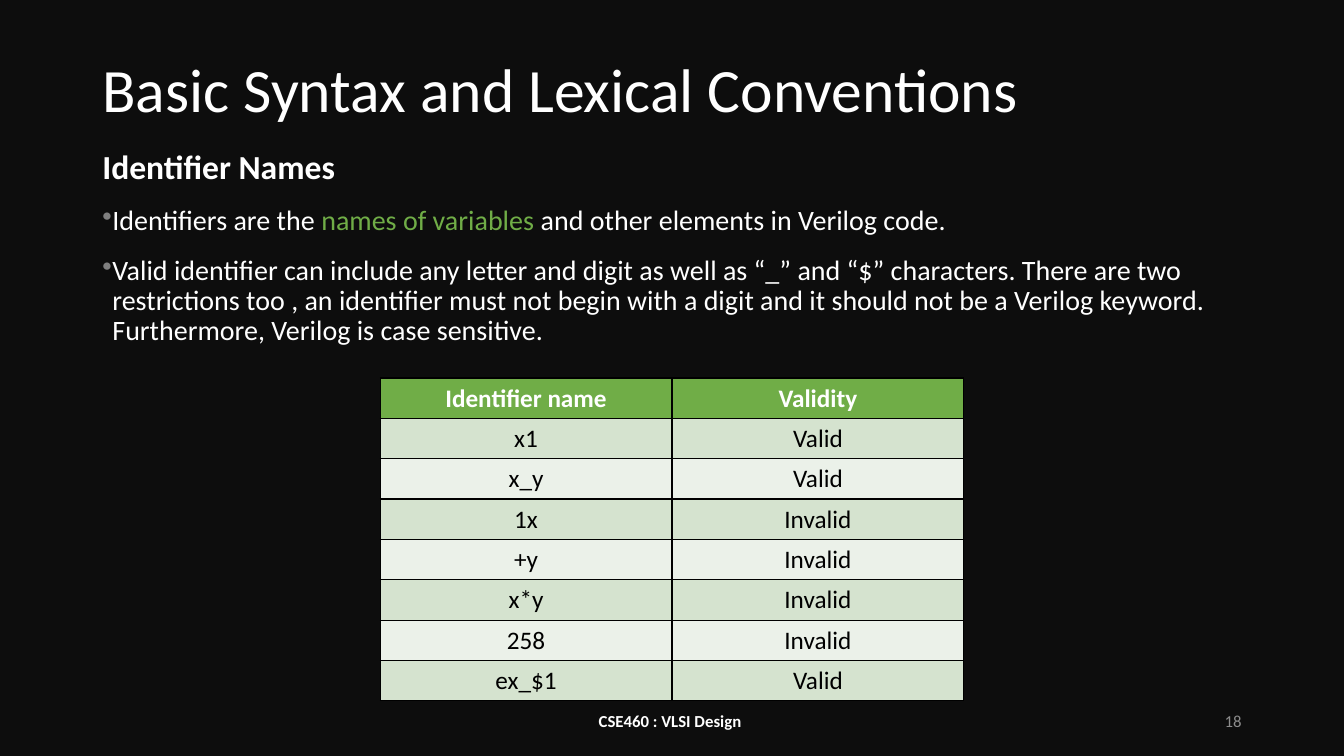
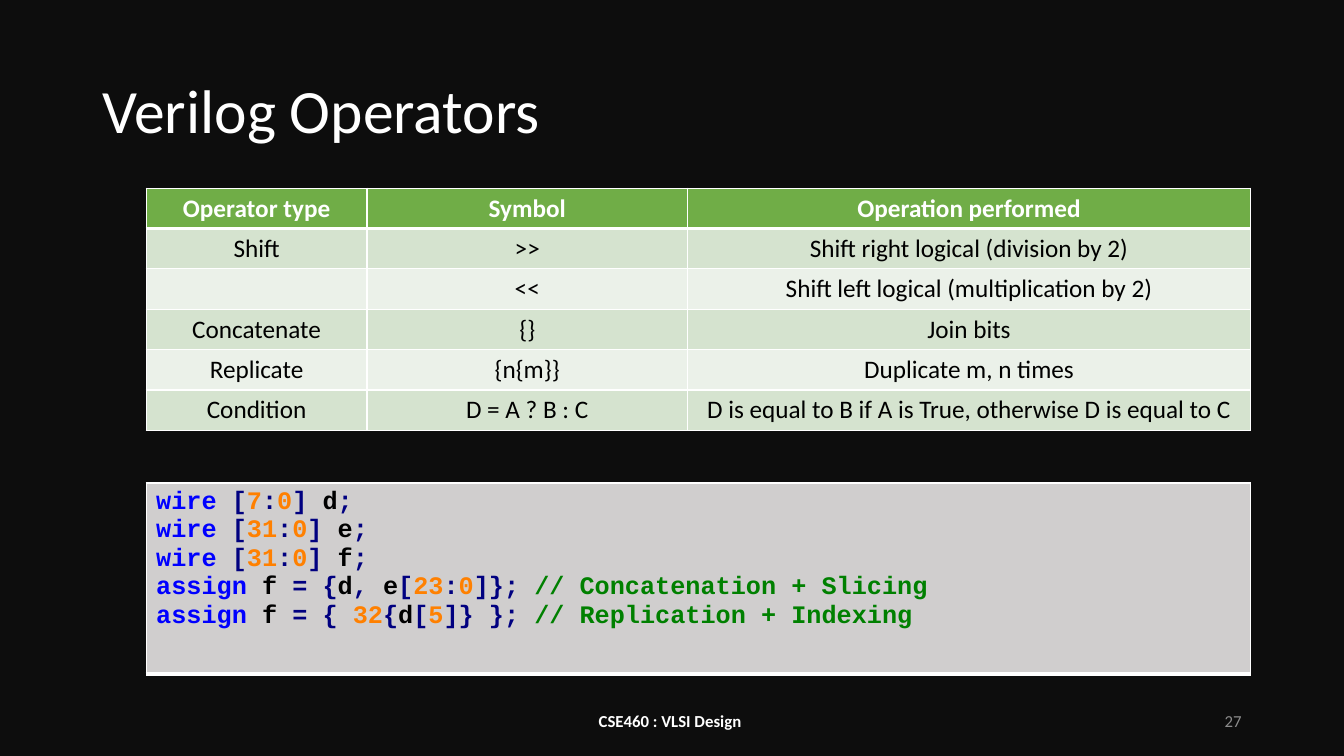
from itertools import groupby

from lxml import etree
from pptx import Presentation
from pptx.dml.color import RGBColor
from pptx.enum.text import MSO_ANCHOR, MSO_AUTO_SIZE, PP_ALIGN
from pptx.oxml.ns import qn
from pptx.util import Inches, Pt

LEFT, CENTER, RIGHT = PP_ALIGN.LEFT, PP_ALIGN.CENTER, PP_ALIGN.RIGHT
TOP, MIDDLE = MSO_ANCHOR.TOP, MSO_ANCHOR.MIDDLE
NO_AUTOFIT = MSO_AUTO_SIZE.NONE


class Theme:
    background = "0D0D0D"
    light = "FFFFFF"
    dark = "000000"
    accent = "70AD47"
    bands = ("D5E3CF", "EBF1E9")
    bullet = "7F7F7F"
    number = "8C8C8C"
    code_fill = "D0CECE"
    code_keyword = "0000FF"
    code_symbol = "000080"
    code_digit = "FF8000"
    code_comment = "008000"
    font = "Calibri"
    code_font = "Courier New"
    title_size, heading_size, body_size = 44, 24, 20
    table_size, footer_size = 18, 12
    thin, thick = 1, 3


deck = Presentation()
deck.slide_width, deck.slide_height = Inches(13.333), Inches(7.5)
COLUMN, ROW = deck.slide_width / 32, deck.slide_height / 18
MARGIN, CONTENT = 2.2, 27.6
TABLE_LEFT, TABLE_ROW = 3.48, 0.96
FOOTER_TOP, FOOTER_HEIGHT = 16.68, 0.96

master_fill = deck.slide_master.background.fill
master_fill.solid()
master_fill.fore_color.rgb = RGBColor.from_string(Theme.background)


def write(para, spans, size, font=Theme.font, bold=False, **para_format):
    for name, value in para_format.items():
        setattr(para, name, value)
    for words, color in spans:
        span = para.add_run()
        span.text = words
        for name, value in {"name": font, "size": Pt(size), "bold": bold}.items():
            setattr(span.font, name, value)
        span.font.color.rgb = RGBColor.from_string(color)


def add_grid(page, left, top, widths, heights, fills, line_color, rules):
    frame = page.shapes.add_table(
        len(heights), len(widths), int(left * COLUMN), int(top * ROW),
        int(sum(widths) * COLUMN), int(sum(heights) * ROW))
    table = frame.table
    table.horz_banding = False
    table.first_row = len(heights) > 1
    for column, width in zip(table.columns, widths):
        column.width = int(width * COLUMN)
    for index, (row, height) in enumerate(zip(table.rows, heights)):
        row.height = int(height * ROW)
        edges = {"lnL": Theme.thin, "lnR": Theme.thin,
                 "lnT": rules[index], "lnB": rules[index + 1]}
        for cell in row.cells:
            properties = cell._tc.get_or_add_tcPr()
            for edge, points in edges.items():
                line = etree.SubElement(properties, qn(f"a:{edge}"), w=str(Pt(points)))
                solid = etree.SubElement(line, qn("a:solidFill"))
                etree.SubElement(solid, qn("a:srgbClr"), val=line_color)
            cell.fill.solid()
            cell.fill.fore_color.rgb = RGBColor.from_string(fills[index])
    return table


titles = [
    ("Basic Syntax and Lexical Conventions", "18", 2.5),
    ("Verilog Operators", "27", 3.48),
]
pages = []
for title, number, title_height in titles:
    page = deck.slides.add_slide(deck.slide_layouts[5])
    pages.append(page)
    heading = page.shapes.title
    place = {"left": MARGIN * COLUMN, "top": 0.96 * ROW,
             "width": CONTENT * COLUMN, "height": title_height * ROW}
    for name, value in place.items():
        setattr(heading, name, int(value))
    heading.text_frame.auto_size = NO_AUTOFIT
    heading.text_frame.vertical_anchor = MIDDLE
    write(heading.text_frame.paragraphs[0], [(title, Theme.light)],
          Theme.title_size, alignment=LEFT, line_spacing=0.9)

    footers = [
        (10.6, 10.8, "CSE460 : VLSI Design ", Theme.light, True, CENTER),
        (22.6, 7.2, number, Theme.number, False, RIGHT),
    ]
    for left, width, words, color, bold, alignment in footers:
        box = page.shapes.add_textbox(
            int(left * COLUMN), int(FOOTER_TOP * ROW),
            int(width * COLUMN), int(FOOTER_HEIGHT * ROW))
        box.text_frame.word_wrap = True
        box.text_frame.vertical_anchor = MIDDLE
        write(box.text_frame.paragraphs[0], [(words, color)],
              Theme.footer_size, bold=bold, alignment=alignment)

syntax_page, operator_page = pages

body = syntax_page.shapes.add_textbox(
    int(MARGIN * COLUMN), int(3.46 * ROW), int(CONTENT * COLUMN), int(5.3 * ROW)).text_frame
body.word_wrap = True
write(body.paragraphs[0], [("Identifier Names", Theme.light)], Theme.heading_size,
      bold=True, line_spacing=0.9, space_after=Pt(2))
bullets = [
    [("Identifiers are the ", Theme.light),
     ("names of variables ", Theme.accent),
     ("and other elements in Verilog code.", Theme.light)],
    [("Valid identifier can include any letter and digit as well as “_” and “$” "
      "characters. There are two restrictions too , an identifier must not begin "
      "with a digit and it should not be a Verilog keyword. Furthermore, Verilog "
      "is case sensitive.", Theme.light)],
]
for spans in bullets:
    para = body.add_paragraph()
    properties = para._p.get_or_add_pPr()
    properties.set("marL", str(Inches(0.1)))
    properties.set("indent", str(-Inches(0.1)))
    bullet_color = etree.SubElement(properties, qn("a:buClr"))
    etree.SubElement(bullet_color, qn("a:srgbClr"), val=Theme.bullet)
    etree.SubElement(properties, qn("a:buChar"), char="•")
    write(para, spans, Theme.body_size, line_spacing=0.9,
          space_before=Pt(12), space_after=Pt(2))

identifiers = [
    ("Identifier name", "Validity"),
    ("x1", "Valid"),
    ("x_y", "Valid"),
    ("1x", "Invalid"),
    ("+y", "Invalid"),
    ("x*y", "Invalid"),
    ("258", "Invalid"),
    ("ex_$1", "Valid"),
]
operators = [
    ("Operator type", "Symbol", "Operation performed"),
    ("Shift", ">>", "Shift right logical (division by 2)"),
    ("", "<<", "Shift left logical (multiplication by 2)"),
    ("Concatenate", "{}", "Join bits"),
    ("Replicate", "{n{m}}", "Duplicate m, n times"),
    ("Condition", "D = A ? B : C",
     "D is equal to B if A is True, otherwise D is equal to C"),
]
tables = [
    (syntax_page, identifiers, 9.05, 9, (6.95, 6.95), Theme.dark, Theme.thin),
    (operator_page, operators, TABLE_LEFT, 4.48, (5.26, 7.63, 13.41),
     Theme.light, Theme.thick),
]
for page, records, left, top, widths, line_color, header_rule in tables:
    count = len(records)
    fills = [Theme.accent] + [Theme.bands[index % 2] for index in range(count - 1)]
    rules = [Theme.thin, header_rule] + [Theme.thin] * (count - 1)
    table = add_grid(page, left, top, widths, [TABLE_ROW] * count, fills, line_color, rules)
    for row_index, record in enumerate(records):
        is_header = row_index == 0
        color = Theme.light if is_header else Theme.dark
        for column_index, words in enumerate(record):
            cell = table.cell(row_index, column_index)
            cell.vertical_anchor = MIDDLE
            spans = [(words, color)] if words else []
            write(cell.text_frame.paragraphs[0], spans, Theme.table_size,
                  bold=is_header, alignment=CENTER)

code_lines = [
    "wire [7:0] d;",
    "wire [31:0] e;",
    "wire [31:0] f;",
    "assign f = {d, e[23:0]}; // Concatenation + Slicing",
    "assign f = { 32{d[5]} }; // Replication + Indexing",
]
keywords = {"wire", "assign"}
code_table = add_grid(operator_page, TABLE_LEFT, 11.5, [26.3], [4.55],
                      [Theme.code_fill], Theme.light, [Theme.thin, Theme.thick])
code_cell = code_table.cell(0, 0)
code_cell.vertical_anchor = TOP
for index, line in enumerate(code_lines):
    code, slashes, comment = line.partition("//")
    spans = []
    for (is_word, is_digit), letters in groupby(
            code, key=lambda letter: (letter.isalpha(), letter.isdigit())):
        token = "".join(letters)
        if token in keywords:
            color = Theme.code_keyword
        elif is_word:
            color = Theme.dark
        else:
            color = Theme.code_digit if is_digit else Theme.code_symbol
        spans.append((token, color))
    if slashes:
        spans.append((slashes + comment, Theme.code_comment))
    frame = code_cell.text_frame
    para = frame.add_paragraph() if index else frame.paragraphs[0]
    write(para, spans, Theme.table_size, font=Theme.code_font, bold=True, alignment=LEFT)

deck.save("out.pptx")
